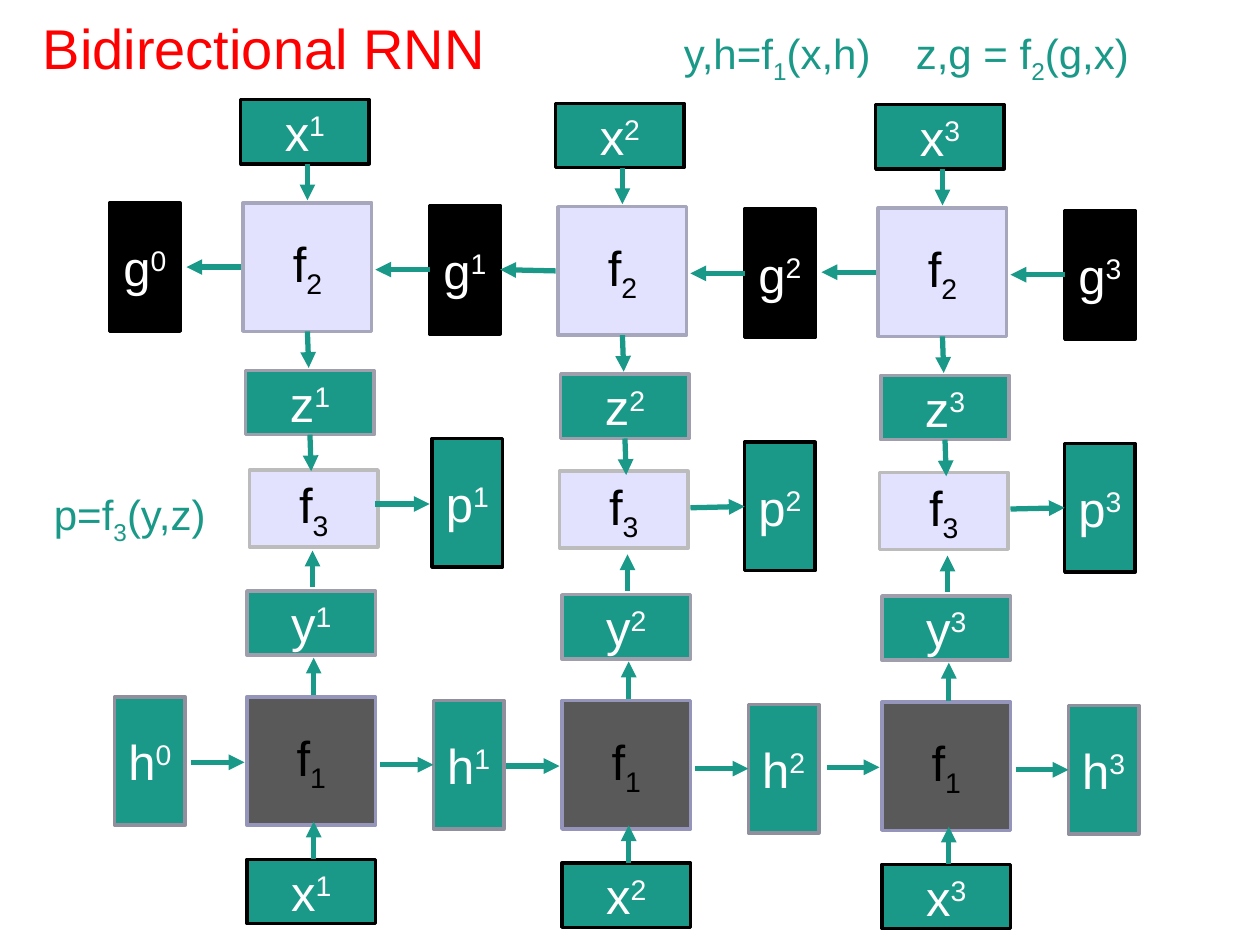
from dataclasses import dataclass
from math import hypot
from typing import NamedTuple

from lxml.etree import SubElement
from pptx import Presentation
from pptx.dml.color import RGBColor
from pptx.enum.shapes import MSO_CONNECTOR as Connector, MSO_SHAPE as Preset
from pptx.enum.text import MSO_ANCHOR as Anchor, MSO_AUTO_SIZE as AutoSize, PP_ALIGN as Align
from pptx.oxml.ns import qn
from pptx.util import Inches, Pt

COLUMNS, ROWS = 100, 75
CELL = Inches(10) // COLUMNS
SUPERSCRIPT, SUBSCRIPT = 30, -25
JOIN_REACH = 0.16


@dataclass(frozen=True)
class Theme:
    font: str = "Arial"
    teal: str = "1A9988"
    black: str = "000000"
    white: str = "FFFFFF"
    red: str = "FF0000"
    gray: str = "595959"
    lavender: str = "E2E2FF"
    state_edge: str = "8F8F9D"
    output_edge: str = "9F9EAD"
    forward_edge: str = "9595BC"
    backward_edge: str = "A6A6BC"
    merge_edge: str = "BCBCBC"
    title_size: int = 32
    label_size: int = 28
    formula_size: int = 24
    edge_width: int = 2
    arrow_width: int = 3


THEME = Theme()


class Step(NamedTuple):
    index: int
    right: float
    down: float


class Block(NamedTuple):
    letter: str
    left: float
    top: float
    width: float
    height: float
    fill: str
    edge: str
    function: int = 0
    nudge: tuple[float, float] = (0, 0)


class Arrow(NamedTuple):
    x1: float
    y1: float
    x2: float
    y2: float


class Formula(NamedTuple):
    left: float
    top: float
    width: float
    before: str
    index: str
    after: str


STEPS = (Step(1, 0, 0), Step(2, 25, 0.3), Step(3, 50.4, 0.4))
LONG, SHORT, NARROW, MERGE = 10.2, 5.1, 5.6, 6.1

BLOCKS = (
    Block("x", 19.1, 7.9, LONG, SHORT, THEME.teal, THEME.black),
    Block("f", 19.3, 16.1, LONG, LONG, THEME.lavender, THEME.backward_edge, 2),
    Block("g", 34.1, 16.3, NARROW, LONG, THEME.black, THEME.black),
    Block("z", 19.5, 29.4, LONG, SHORT, THEME.teal, THEME.output_edge),
    Block("f", 19.8, 37.3, LONG, MERGE, THEME.lavender, THEME.merge_edge, 3, (-0.4, -0.2)),
    Block("p", 34.3, 34.8, NARROW, LONG, THEME.teal, THEME.black, 0, (-0.2, 0)),
    Block("y", 19.6, 46.9, LONG, SHORT, THEME.teal, THEME.output_edge),
    Block("f", 19.6, 55.3, LONG, LONG, THEME.gray, THEME.forward_edge, 1),
    Block("h", 34.4, 55.6, NARROW, LONG, THEME.teal, THEME.state_edge),
    Block("x", 19.6, 68.2, LONG, SHORT, THEME.teal, THEME.black),
)
START_BLOCKS = (
    Block("g", 8.7, 16.1, NARROW, LONG, THEME.black, THEME.black),
    Block("h", 9.1, 55.3, NARROW, LONG, THEME.teal, THEME.state_edge),
)
ARROWS = (
    Arrow(24.4, 13, 24.4, 15.9),
    Arrow(19.1, 21.2, 14.8, 21.2),
    Arrow(34.1, 21.4, 29.8, 21.4),
    Arrow(24.5, 26.3, 24.5, 29.2),
    Arrow(24.7, 34.5, 24.7, 37.4),
    Arrow(29.8, 40, 34.1, 40),
    Arrow(24.8, 46.6, 24.8, 43.7),
    Arrow(24.9, 55.2, 24.9, 52.2),
    Arrow(15.2, 60.5, 19.4, 60.5),
    Arrow(30.2, 60.7, 34.4, 60.7),
    Arrow(24.9, 68.2, 24.9, 65.2),
)
FORMULAS = (
    Formula(3.3, 38.3, 14.3, "p=f", "3", "(y,z)"),
    Formula(53.3, 1.7, 17.1, "y,h=f", "1", "(x,h)"),
    Formula(71.7, 1.7, 19.3, "z,g = f", "2", "(g,x)"),
)


def cells(*amounts: float) -> list[int]:
    return [round(amount * CELL) for amount in amounts]


def color(value: str) -> RGBColor:
    return RGBColor.from_string(value)


def write(para, spans, size: int, ink: str) -> None:
    para.font.name = THEME.font
    para.font.size = Pt(size)
    para.font.color.rgb = color(ink)
    for text, shift in spans:
        span = para.add_run()
        span.text = text
        if shift:
            span._r.get_or_add_rPr().set("baseline", str(shift * 1000))


def draw_block(page, block: Block, step: Step):
    nudge_x, nudge_y = block.nudge if step.index > 1 else (0, 0)
    box = page.shapes.add_shape(Preset.RECTANGLE, *cells(
        block.left + step.right + nudge_x, block.top + step.down + nudge_y,
        block.width, block.height))
    box.shadow.inherit = False
    box.fill.solid()
    box.fill.fore_color.rgb = color(block.fill)
    box.line.color.rgb = color(block.edge)
    box.line.width = Pt(THEME.edge_width)
    box.text_frame.vertical_anchor = Anchor.MIDDLE
    para = box.text_frame.paragraphs[0]
    para.alignment = Align.CENTER
    index, shift, ink = ((block.function, SUBSCRIPT, THEME.black) if block.function
                         else (step.index, SUPERSCRIPT, THEME.white))
    write(para, ((block.letter, 0), (str(index), shift)), THEME.label_size, ink)
    return box


def find_joint(boxes, x: int, y: int):
    for box in boxes:
        middle_x, middle_y = box.left + box.width // 2, box.top + box.height // 2
        sides = ((middle_x, box.top), (box.left, middle_y),
                 (middle_x, box.top + box.height), (box.left + box.width, middle_y))
        for site, (side_x, side_y) in enumerate(sides):
            if hypot(side_x - x, side_y - y) <= JOIN_REACH * CELL:
                return box, site
    return None


def draw_arrow(page, arrow: Arrow, step: Step, boxes) -> None:
    ends = cells(arrow.x1 + step.right, arrow.y1 + step.down,
                 arrow.x2 + step.right, arrow.y2 + step.down)
    line = page.shapes.add_connector(Connector.STRAIGHT, *ends)
    for connect, point in ((line.begin_connect, ends[:2]), (line.end_connect, ends[2:])):
        joint = find_joint(boxes, *point)
        if joint:
            connect(*joint)
    line.line.color.rgb = color(THEME.teal)
    line.line.width = Pt(THEME.arrow_width)
    SubElement(line.line._get_or_add_ln(), qn("a:tailEnd"), type="triangle")
    SubElement(line._element.spPr, qn("a:effectLst"))


def draw_formula(page, formula: Formula) -> None:
    box = page.shapes.add_textbox(*cells(formula.left, formula.top, formula.width, SHORT))
    box.text_frame.word_wrap = False
    box.text_frame.auto_size = AutoSize.SHAPE_TO_FIT_TEXT
    spans = ((formula.before, 0), (formula.index, SUBSCRIPT), (formula.after, 0))
    write(box.text_frame.paragraphs[0], spans, THEME.formula_size, THEME.teal)


def draw_title(page) -> None:
    title = page.shapes.title
    title.left, title.top, title.width, title.height = cells(2.4, 0.6, 37.4, 6.4)
    title.text_frame.vertical_anchor = Anchor.TOP
    para = title.text_frame.paragraphs[0]
    para.alignment = Align.LEFT
    write(para, (("Bidirectional RNN", 0),), THEME.title_size, THEME.red)


def main() -> None:
    deck = Presentation()
    deck.slide_width, deck.slide_height = cells(COLUMNS, ROWS)
    page = deck.slides.add_slide(deck.slide_layouts.get_by_name("Title Only"))
    draw_title(page)
    boxes = [draw_block(page, block, Step(0, 0, 0)) for block in START_BLOCKS]
    boxes += [draw_block(page, block, step) for step in STEPS for block in BLOCKS]
    for step in STEPS:
        for arrow in ARROWS:
            draw_arrow(page, arrow, step, boxes)
    for formula in FORMULAS:
        draw_formula(page, formula)
    deck.save("out.pptx")


if __name__ == "__main__":
    main()
